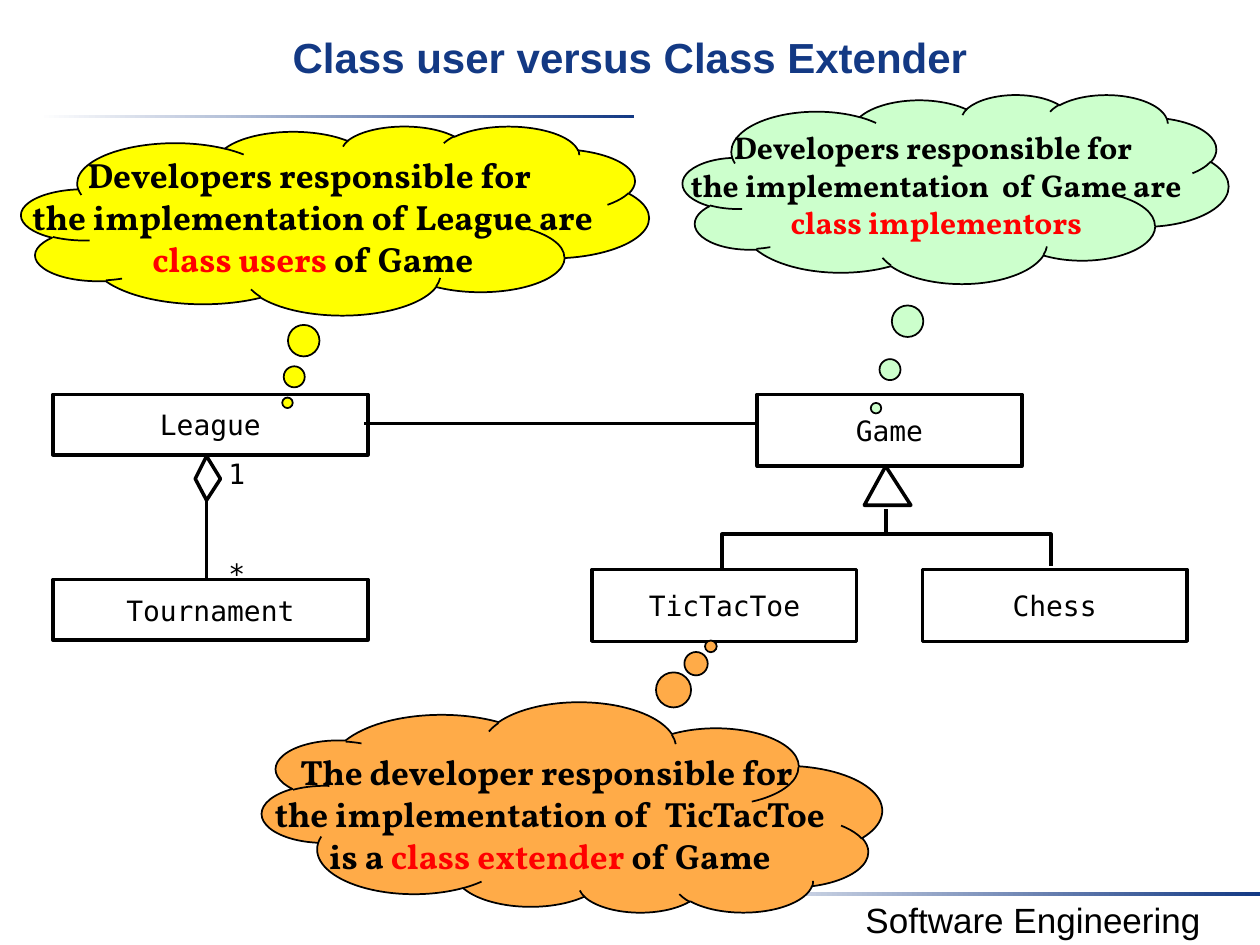
from dataclasses import dataclass

from lxml.etree import SubElement
from pptx import Presentation
from pptx.dml.color import RGBColor
from pptx.enum.shapes import MSO_CONNECTOR, MSO_SHAPE
from pptx.enum.text import MSO_ANCHOR, PP_ALIGN
from pptx.oxml.ns import qn
from pptx.util import Inches, Pt

COLUMNS, ROWS = 100, 75
WIDTH, HEIGHT = Inches(10), Inches(7.5)


@dataclass(frozen=True)
class Theme:
    ink: str = "000000"
    paper: str = "FFFFFF"
    navy: str = "133984"
    accent: str = "FF0000"
    yellow: str = "FFFF00"
    orange: str = "FFAB48"
    green: str = "CCFFCC"
    sans: str = "Arial"
    mono: str = "DejaVu Sans Mono"
    serif: str = "Vollkorn"
    title_size: int = 24
    cloud_size: int = 20
    small_cloud_size: int = 18
    class_size: int = 16
    diagram_line: int = 2
    cloud_line: int = 1


THEME = Theme()


def grid_x(column):
    return round(WIDTH * column / COLUMNS)


def grid_y(row):
    return round(HEIGHT * row / ROWS)


def place(column, row, columns, rows):
    return grid_x(column), grid_y(row), grid_x(columns), grid_y(rows)


def style_line(item, width):
    item.line.color.rgb = RGBColor.from_string(THEME.ink)
    item.line.width = Pt(width)


def style_shape(shape, fill, width):
    shape.shadow.inherit = False
    if fill:
        shape.fill.solid()
        shape.fill.fore_color.rgb = RGBColor.from_string(fill)
    else:
        shape.fill.background()
    style_line(shape, width)


def write_lines(frame, lines, font, size, bold=False):
    for index, line in enumerate(lines):
        paragraph = frame.add_paragraph() if index else frame.paragraphs[0]
        paragraph.alignment = PP_ALIGN.CENTER
        for text, color in line:
            run = paragraph.add_run()
            run.text = text
            run.font.name = font
            run.font.size = Pt(size)
            run.font.bold = bold
            run.font.color.rgb = RGBColor.from_string(color)


def remove_insets(frame):
    frame.margin_left = frame.margin_right = 0
    frame.margin_top = frame.margin_bottom = 0


def add_label(slide, area, text, font, size, color=THEME.ink, bold=False):
    frame = slide.shapes.add_textbox(*place(*area)).text_frame
    frame.word_wrap = True
    write_lines(frame, [[(text, color)]], font, size, bold)
    return frame


def add_multiplicity(slide, row, text):
    area = (18.1, row, 1.4, 2.7)
    remove_insets(add_label(slide, area, text, THEME.mono, THEME.class_size))


def add_rule(slide, column, row):
    shape = slide.shapes.add_shape(MSO_SHAPE.RECTANGLE, *place(column, row, 47.2, 0.3))
    shape.shadow.inherit = False
    shape.line.fill.background()
    shape.fill.gradient()
    shape.fill.gradient_angle = 0
    for stop, color in zip(shape.fill.gradient_stops, (THEME.paper, THEME.navy)):
        stop.color.rgb = RGBColor.from_string(color)


def add_class(slide, name, area):
    shape = slide.shapes.add_shape(MSO_SHAPE.RECTANGLE, *place(*area))
    style_shape(shape, None, THEME.diagram_line)
    frame = shape.text_frame
    remove_insets(frame)
    frame.vertical_anchor = MSO_ANCHOR.MIDDLE
    write_lines(frame, [[(name, THEME.ink)]], THEME.mono, THEME.class_size)


def add_outline(slide, points, fill=None, close=True):
    corners = [(grid_x(column), grid_y(row)) for column, row in points]
    builder = slide.shapes.build_freeform(*corners[0])
    builder.add_line_segments(corners[1:], close=close)
    style_shape(builder.convert_to_shape(), fill, THEME.diagram_line)


def add_link(slide, start, end):
    connector = slide.shapes.add_connector(
        MSO_CONNECTOR.STRAIGHT,
        grid_x(start[0]), grid_y(start[1]), grid_x(end[0]), grid_y(end[1]),
    )
    style_line(connector, THEME.diagram_line)
    SubElement(connector._element.spPr, qn("a:effectLst"))


def add_cloud(slide, area, tail, fill, lines, size, flipped=False):
    shape = slide.shapes.add_shape(MSO_SHAPE.CLOUD_CALLOUT, *place(*area))
    shape.adjustments[0], shape.adjustments[1] = tail
    style_shape(shape, fill, THEME.cloud_line)
    frame = shape.text_frame
    frame.word_wrap = False
    frame.vertical_anchor = MSO_ANCHOR.MIDDLE
    if flipped:
        shape._element.spPr.find(qn("a:xfrm")).set("flipV", "1")
        frame._txBody.find(qn("a:bodyPr")).set("rot", str(180 * 60000))
    write_lines(frame, lines, THEME.serif, size, bold=True)


def add_class_diagram(slide):
    add_class(slide, "Game", (60.1, 31.3, 21, 5.7))
    add_outline(slide, [(68.6, 40.1), (70.3, 37), (72.3, 40.1)])
    add_outline(slide, [(57.3, 45.2), (57.3, 42.4), (83.4, 42.4), (83.4, 44.9)], close=False)
    add_link(slide, (70.3, 42.4), (70.3, 40.4))
    for name, column in (("TicTacToe", 47), ("Chess", 73.2)):
        add_class(slide, name, (column, 45.2, 21, 5.7))
    for name, row in (("League", 31.3), ("Tournament", 46)):
        add_class(slide, name, (4.2, row, 25, 4.8))
    add_outline(slide, [(15.5, 38), (16.4, 36.2), (17.5, 38), (16.4, 39.7)], THEME.paper)
    add_link(slide, (16.4, 39.7), (16.4, 46))
    add_multiplicity(slide, 36.2, "1")
    add_multiplicity(slide, 44.2, "*")
    add_link(slide, (28.9, 33.6), (60.1, 33.6))


def add_roles(slide):
    ink, accent = THEME.ink, THEME.accent
    add_cloud(slide, (1.7, 10, 49.8, 15), (-0.076, 0.965), THEME.yellow, [
        [("Developers responsible for ", ink)],
        [("the implementation of League are", ink)],
        [("class users ", accent), ("of Game", ink)],
    ], THEME.cloud_size)
    add_cloud(slide, (20.8, 55.8, 49.2, 16.7), (0.224, 0.769), THEME.orange, [
        [("The developer responsible for ", ink)],
        [("the implementation of  TicTacToe", ink)],
        [("is a ", ink), ("class extender ", accent), ("of Game", ink)],
    ], THEME.cloud_size, flipped=True)
    add_cloud(slide, (54.2, 7.5, 43.3, 15), (-0.146, 1.16), THEME.green, [
        [("Developers responsible for ", ink)],
        [("the implementation  of Game are", ink)],
        [("class implementors", accent)],
    ], THEME.small_cloud_size)


def main():
    presentation = Presentation()
    presentation.slide_width, presentation.slide_height = WIDTH, HEIGHT
    slide = presentation.slides.add_slide(presentation.slide_layouts[6])
    add_rule(slide, 3.1, 9.1)
    add_rule(slide, 52.8, 70.8)
    add_label(slide, (64, 70.8, 36, 4.4), "Software Engineering", THEME.sans, THEME.cloud_size)
    add_label(slide, (0, 2, 100, 7.5), "Class user versus Class Extender",
              THEME.sans, THEME.title_size, THEME.navy, bold=True)
    add_class_diagram(slide)
    add_roles(slide)
    presentation.save("out.pptx")


if __name__ == "__main__":
    main()
